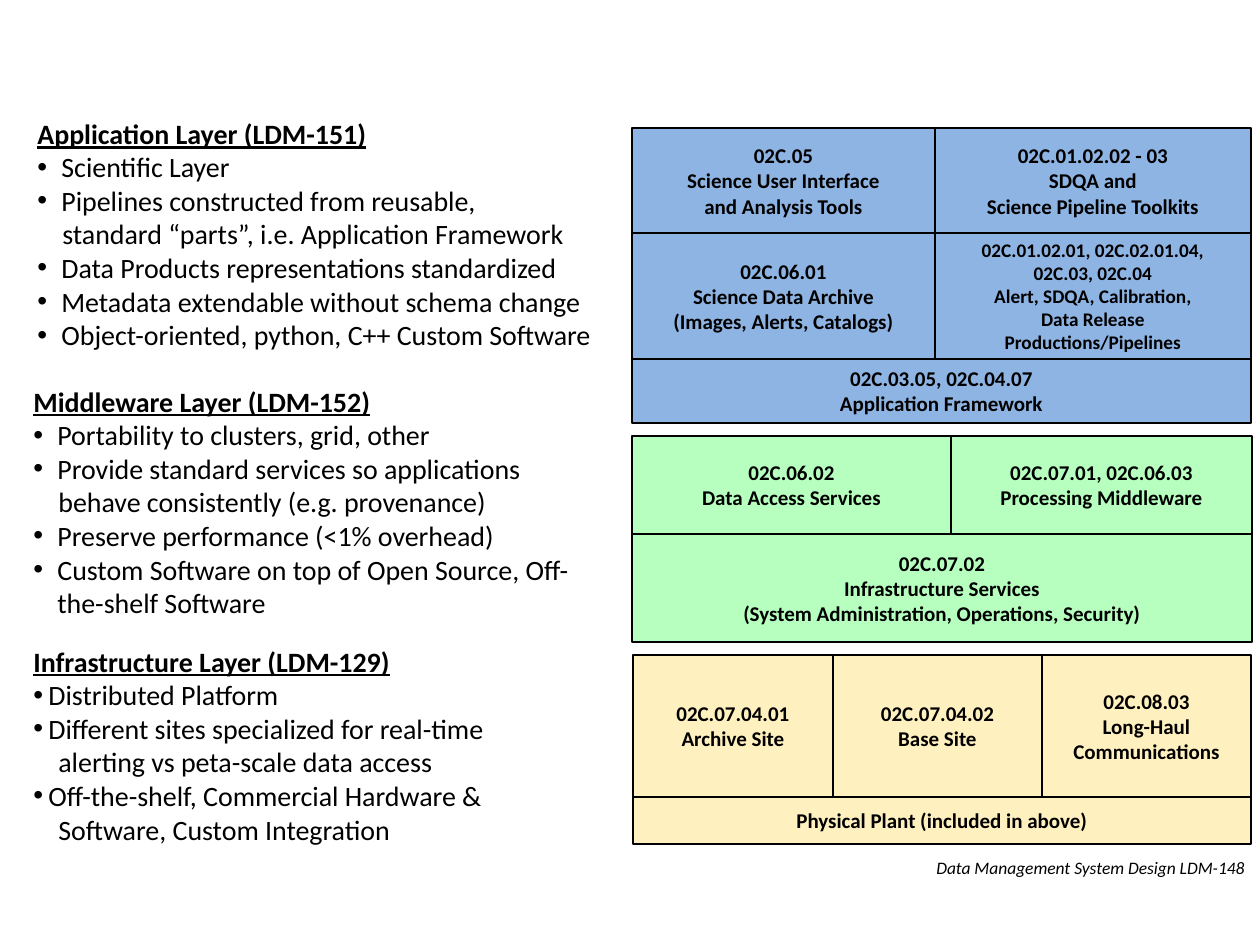
from dataclasses import dataclass

from lxml import etree
from pptx import Presentation
from pptx import util as u
from pptx.dml.color import RGBColor
from pptx.enum import shapes, text
from pptx.oxml.ns import qn

PX = 914400 // 126
FONT = "Calibri"
CONTINUATION_INDENT = 25
COLORS = {
    "ink": "000000",
    "application": "8EB4E3",
    "middleware": "B6FFBE",
    "infrastructure": "FFF1BF",
}


@dataclass
class Row:
    """One band of adjoining blocks; edges are the vertical borders."""
    layer: str
    top: int
    bottom: int
    edges: list[int]
    blocks: list[str]


@dataclass
class Summary:
    """A heading with bullets; a line break inside a bullet starts a continuation."""
    left: int
    top: int
    width: int
    height: int
    hang: int
    heading: str
    bullets: list[str]


ROWS = [
    Row("application", 128, 233, [632, 935, 1251], [
        "02C.05\nScience User Interface\nand Analysis Tools",
        "02C.01.02.02 - 03\nSDQA and\nScience Pipeline Toolkits"]),
    Row("application", 233, 359, [632, 935, 1251], [
        "02C.06.01\nScience Data Archive\n(Images, Alerts, Catalogs)",
        "02C.01.02.01, 02C.02.01.04,\n02C.03, 02C.04\nAlert, SDQA, Calibration,\n"
        "Data Release\nProductions/Pipelines"]),
    Row("application", 359, 423, [632, 1251], [
        "02C.03.05, 02C.04.07\nApplication Framework"]),
    Row("middleware", 436, 534, [632, 951, 1252], [
        "02C.06.02\nData Access Services",
        "02C.07.01, 02C.06.03\nProcessing Middleware"]),
    Row("middleware", 534, 642, [632, 1252], [
        "02C.07.02\nInfrastructure Services\n"
        "(System Administration, Operations, Security)"]),
    Row("infrastructure", 655, 797, [633, 833, 1042, 1251], [
        "02C.07.04.01\nArchive Site",
        "02C.07.04.02\nBase Site",
        "02C.08.03\nLong-Haul\nCommunications"]),
    Row("infrastructure", 797, 844, [633, 1251], [
        "Physical Plant (included in above)"]),
]

SUMMARIES = [
    Summary(25, 110, 636, 249, 24, "Application Layer (LDM-151)", [
        "Scientific Layer",
        "Pipelines constructed from reusable,\n"
        "standard “parts”, i.e. Application Framework",
        "Data Products representations standardized",
        "Metadata extendable without schema change",
        "Object-oriented, python, C++ Custom Software"]),
    Summary(21, 378, 586, 251, 24, "Middleware Layer (LDM-152)", [
        "Portability to clusters, grid, other",
        "Provide standard services so applications\n"
        "behave consistently (e.g. provenance)",
        "Preserve performance (<1% overhead)",
        "Custom Software on top of Open Source, Off-the-shelf Software"]),
    Summary(21, 638, 641, 217, 15, "Infrastructure Layer (LDM-129)", [
        "Distributed Platform",
        "Different sites specialized for real-time\n"
        "alerting vs peta-scale data access",
        "Off-the-shelf, Commercial Hardware &\n"
        "Software, Custom Integration"]),
]


def color(name: str) -> RGBColor:
    """Look up a named colour."""
    return RGBColor.from_string(COLORS[name])


def style(paragraph, size: int, bold=False, italic=False, underline=False) -> None:
    """Format every run of a paragraph."""
    for run in paragraph.runs:
        font = run.font
        font.name, font.size = FONT, u.Pt(size)
        font.bold, font.italic, font.underline = bold, italic, underline
        font.color.rgb = color("ink")


def indent(paragraph, margin: int, hang: int = 0, bullet: bool = False) -> None:
    """Set the left margin, hanging indent and optional bullet."""
    properties = paragraph._p.get_or_add_pPr()
    properties.set("marL", str(margin * PX))
    properties.set("indent", str(-hang * PX))
    if bullet:
        etree.SubElement(properties, qn("a:buFont")).set("typeface", "Arial")
        etree.SubElement(properties, qn("a:buChar")).set("char", "•")


def draw_block(slide, layer: str, left: int, top: int, right: int, bottom: int,
               label: str) -> None:
    """Draw one labelled component of the architecture."""
    block = slide.shapes.add_shape(
        shapes.MSO_SHAPE.RECTANGLE,
        left * PX, top * PX, (right - left) * PX, (bottom - top) * PX)
    block.shadow.inherit = False
    block.fill.solid()
    block.fill.fore_color.rgb = color(layer)
    block.line.color.rgb = color("ink")
    block.line.width = u.Pt(0.75)
    frame = block.text_frame
    frame.word_wrap = False
    frame.vertical_anchor = text.MSO_ANCHOR.MIDDLE
    frame.text = label
    size = 11 if len(frame.paragraphs) > 3 else 12
    for paragraph in frame.paragraphs:
        paragraph.alignment = text.PP_ALIGN.CENTER
        style(paragraph, size, bold=True)


def draw_row(slide, row: Row) -> None:
    """Draw the blocks of one row between neighbouring edges."""
    for left, right, label in zip(row.edges, row.edges[1:], row.blocks):
        draw_block(slide, row.layer, left, row.top, right, row.bottom, label)


def add_frame(slide, left: int, top: int, width: int, height: int):
    """Add a wrapping text box and return its text frame."""
    box = slide.shapes.add_textbox(left * PX, top * PX, width * PX, height * PX)
    box.text_frame.word_wrap = True
    return box.text_frame


def draw_summary(slide, summary: Summary) -> None:
    """Write the heading and bullets that describe one layer."""
    frame = add_frame(slide, summary.left, summary.top, summary.width, summary.height)
    heading = frame.paragraphs[0]
    heading.text = summary.heading
    style(heading, 16, bold=True, underline=True)
    for bullet in summary.bullets:
        for position, line in enumerate(bullet.split("\n")):
            paragraph = frame.add_paragraph()
            paragraph.text = line
            style(paragraph, 16)
            if position == 0:
                indent(paragraph, summary.hang, summary.hang, bullet=True)
            else:
                indent(paragraph, CONTINUATION_INDENT)


def main() -> None:
    """Build the slide and save it."""
    deck = Presentation()
    deck.slide_width, deck.slide_height = u.Inches(10), u.Inches(7.5)
    slide = deck.slides.add_slide(deck.slide_layouts[6])
    for row in ROWS:
        draw_row(slide, row)
    for summary in SUMMARIES:
        draw_summary(slide, summary)
    reference = add_frame(slide, 924, 851, 344, 34)
    reference.text = "Data Management System Design LDM-148"
    style(reference.paragraphs[0], 10, italic=True)
    deck.save("out.pptx")


main()
